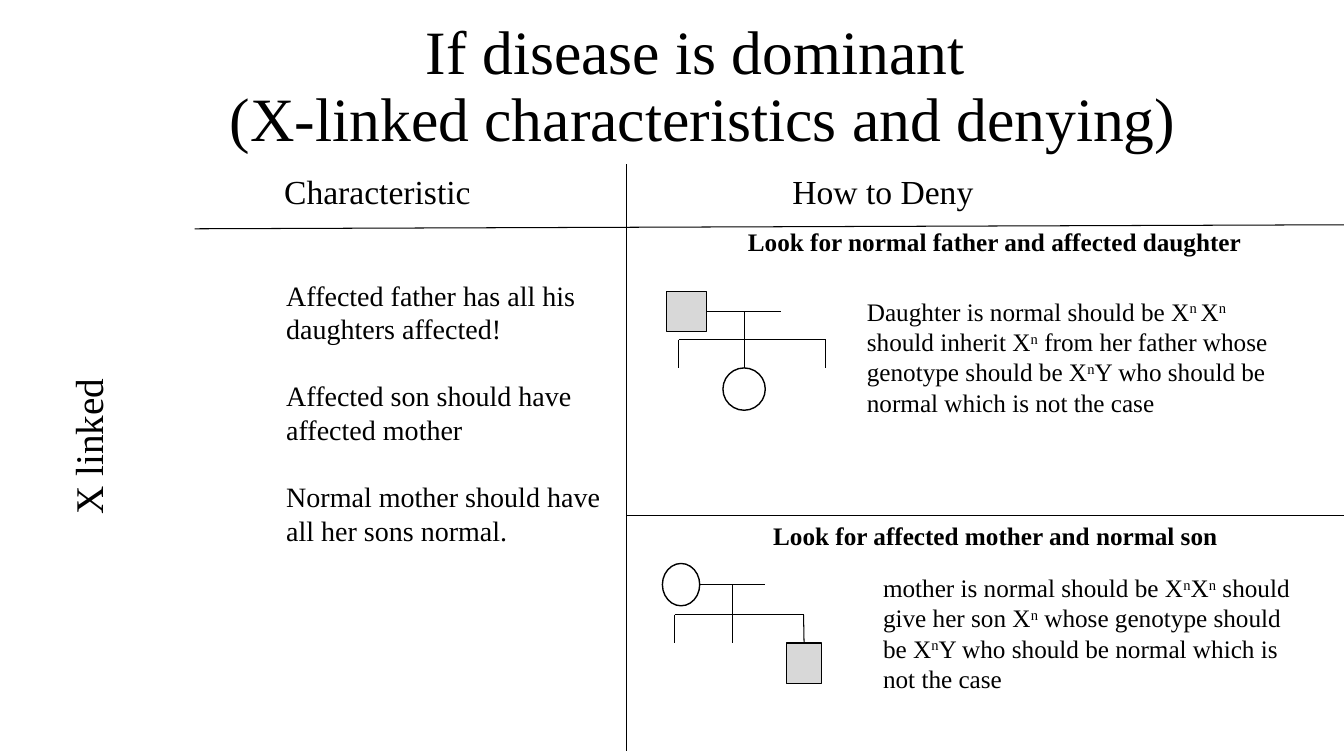
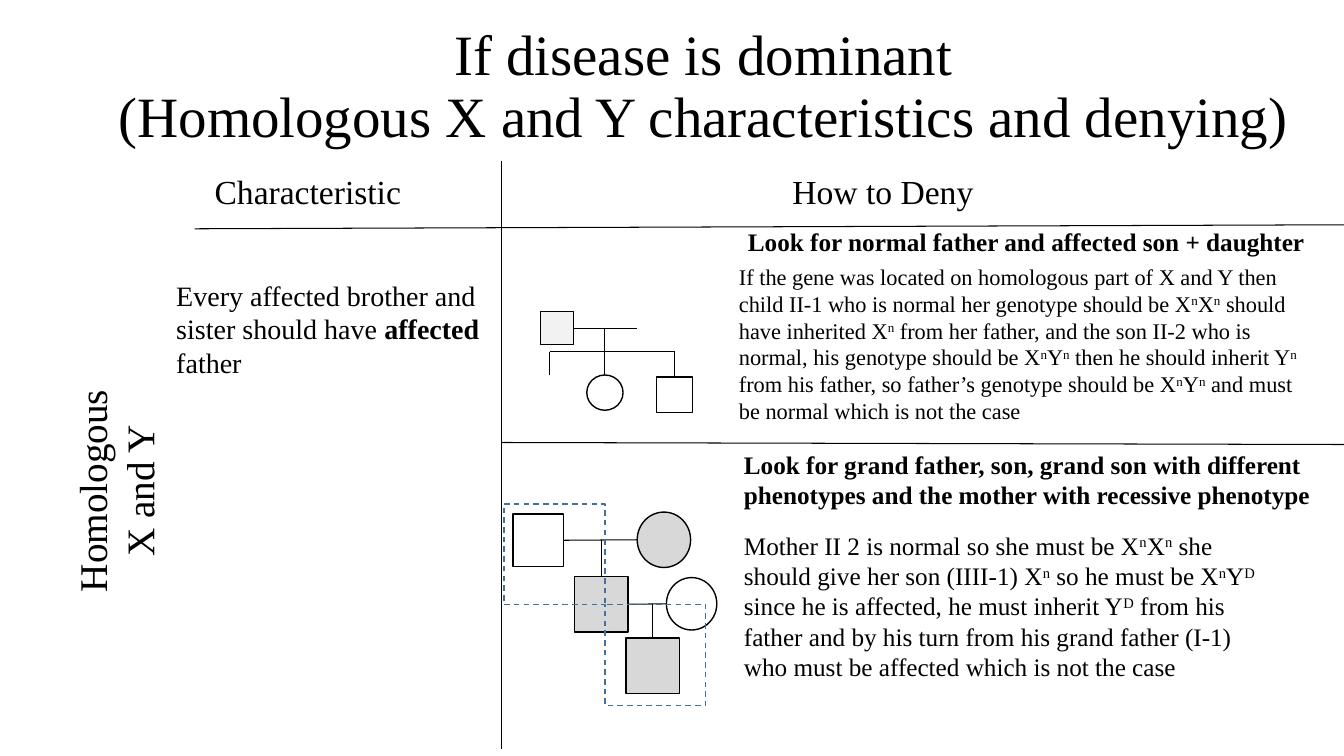
from lxml.etree import SubElement
from pptx import Presentation
from pptx.dml.color import RGBColor
from pptx.enum.dml import MSO_LINE
from pptx.enum.shapes import MSO_CONNECTOR, MSO_SHAPE
from pptx.enum.text import MSO_ANCHOR, PP_ALIGN
from pptx.oxml.ns import qn
from pptx.util import Inches, Pt

BLACK = RGBColor(0, 0, 0)
WHITE = RGBColor(255, 255, 255)
AFFECTED = RGBColor(0xD8, 0xD8, 0xD8)
PALE = RGBColor(0xF2, 0xF2, 0xF2)
OUTLINE = RGBColor(0x42, 0x71, 0x9B)
FONT = "Times New Roman"
W, H = 13.33, 7.5
MALE, FEMALE = MSO_SHAPE.RECTANGLE, MSO_SHAPE.OVAL
TOP, LEFT, RIGHT = 0, 1, 3

TITLE = dict(size=44, align=PP_ALIGN.CENTER, spacing=0.9, anchor=MSO_ANCHOR.MIDDLE)
SIDE = dict(size=28, rotation=270)
HEAD = dict(size=24)
POINT = dict(size=20, before=24)
LOOK = dict(size=18, bold=True)
PROOF = dict(size=18)

# ^…^ is superscript, *…* is bold
SLIDES = [
    dict(
        divider=(6.21, 1.63, 7.45),
        split=(5.11, 5.11),
        texts=[
            ((0.62, 0.15, 12.71, 1.45),
             ["If disease is dominant \n(X-linked characteristics and denying)"], TITLE),
            ((-0.05, 4, 1.84, 0.57), ["X linked"], SIDE),
            ((2.72, 1.65, 2.7, 0.5), ["Characteristic"], HEAD),
            ((2.74, 2.71, 3.47, 2.79),
             ["Affected father has all his daughters affected!",
              "Affected son should have affected mother",
              "Normal mother should have all her sons normal."], POINT),
            ((7.32, 2.2, 5.1, 0.4), ["Look for normal father and affected daughter"], LOOK),
            ((8.5, 2.89, 4.47, 1.31),
             ["Daughter is normal should be X^n ^X^n^ should inherit X^n^ from her father "
              "whose genotype should be X^n^Y who should be normal which is not the case"], PROOF),
            ((7.57, 5.11, 4.84, 0.4), ["Look for affected mother and normal son"], LOOK),
            ((8.66, 5.63, 4.32, 1.31),
             ["mother is normal should be X^n^X^n^ should give her son X^n^ whose genotype "
              "should be X^n^Y who should be normal which is not the case"], PROOF),
        ],
        people=dict(
            father=(MALE, (6.61, 2.89, 0.4, 0.4), AFFECTED),
            daughter=(FEMALE, (7.17, 3.65, 0.42, 0.42), WHITE),
            mother=(FEMALE, (6.57, 5.59, 0.37, 0.42), WHITE),
            son=(MALE, (7.8, 6.38, 0.35, 0.4), AFFECTED),
        ),
        families=[
            dict(parent="father", mate_x=7.75, bar_y=3.37, drop_y=3.65,
                 children=[(6.73, None), (7.38, "daughter"), (8.19, None)]),
            dict(parent="mother", mate_x=7.59, bar_y=6.1, drop_y=6.38,
                 children=[(6.69, None), (7.27, None), (7.97, "son")]),
        ],
    ),
    dict(
        divider=(4.97, 1.6, 7.43),
        split=(4.39, 4.41),
        texts=[
            ((0.62, 0.15, 12.71, 1.45),
             ["If disease is dominant\n(Homologous X and Y characteristics and denying)"],
             TITLE | dict(size=40.7)),
            ((0, 4.35, 2.29, 1.04), ["Homologous X and Y"], SIDE | dict(align=PP_ALIGN.CENTER)),
            ((2.03, 1.65, 2.7, 0.5), ["Characteristic"], HEAD),
            ((1.65, 2.71, 3.47, 1.11),
             ["Every affected brother and sister should have *affected* father"], POINT),
            ((7.32, 2.2, 5.83, 0.4),
             ["Look for normal father and affected son + daughter"], LOOK),
            ((7.23, 2.56, 5.92, 1.72),
             ["If the gene was located on homologous part of X and Y then child II-1 who is "
              "normal her genotype should be X^n^X^n^ should have inherited X^n^ from her "
              "father, and the son II-2 who is normal, his genotype should be X^n^Y^n^ then "
              "he should inherit Y^n^ from his father, so father’s genotype should be "
              "X^n^Y^n^ and must be normal which is not the case"], PROOF | dict(size=16)),
            ((7.28, 4.41, 6.14, 0.71),
             ["Look for grand father, son, grand son with different phenotypes and the "
              "mother with recessive phenotype"], LOOK),
            ((7.28, 5.21, 5.38, 1.62),
             ["Mother II 2 is normal so she must be X^n^X^n^ she should give her son (IIII-1) "
              "X^n^ so he must be X^n^Y^D ^since he is affected, he must inherit Y^D^ from "
              "his father and by his turn from his grand father (I-1) who must be affected "
              "which is not the case"], PROOF),
        ],
        people=dict(
            father=(MALE, (5.36, 3.09, 0.33, 0.33), PALE),
            daughter=(FEMALE, (5.82, 3.72, 0.36, 0.35), WHITE),
            brother=(MALE, (6.51, 3.74, 0.36, 0.35), WHITE),
            grandmother=(FEMALE, (6.32, 5.08, 0.53, 0.55), AFFECTED),
            grandfather=(MALE, (5.09, 5.1, 0.5, 0.52), WHITE),
            son=(MALE, (5.7, 5.72, 0.53, 0.55), AFFECTED),
            wife=(FEMALE, (6.61, 5.73, 0.5, 0.52), WHITE),
            grandson=(MALE, (6.21, 6.33, 0.53, 0.55), AFFECTED),
        ),
        families=[
            dict(parent="father", mate_x=6.32, bar_y=3.49, drop_y=3.72,
                 children=[(5.45, None), (6, "daughter"), (6.69, "brother")]),
        ],
        couples=[("grandfather", "grandmother", "son"), ("son", "wife", "grandson")],
        lineage=[
            (4.99, 4.91), (5.28, 4.89), (5.58, 4.91), (5.71, 4.97), (5.8, 5.05), (5.87, 5.14),
            (5.96, 5.27), (6.04, 5.4), (6.11, 5.54), (6.17, 5.61), (6.32, 5.67), (7.16, 5.69),
            (7.16, 5.69), (7.14, 6.55), (7.08, 6.79), (6.98, 6.93), (6.78, 7.06), (6.49, 7.15),
            (6.13, 7.12), (5.95, 7.06), (5.81, 6.93), (5.72, 6.78), (5.67, 6.6), (5.61, 6.46),
            (5.55, 6.21), (5.49, 6.08), (5.43, 5.94), (5.34, 5.81), (5.25, 5.75), (5.07, 5.69),
            (4.93, 5.6), (4.86, 5.46), (4.83, 5.33), (4.87, 5.15), (4.98, 5),
        ],
    ),
]


def add_text(s, box, paragraphs, style):
    sp = s.shapes.add_textbox(*map(Inches, box))
    sp.rotation = style.get("rotation", 0)
    tf = sp.text_frame
    for name, value in dict(word_wrap=True,
                            vertical_anchor=style.get("anchor", MSO_ANCHOR.TOP)).items():
        setattr(tf, name, value)
    for n, text in enumerate(paragraphs):
        p = tf.add_paragraph() if n else tf.paragraphs[0]
        p.alignment = style.get("align", PP_ALIGN.LEFT)
        p.line_spacing = style.get("spacing")
        if n:
            p.space_before = Pt(style["before"])
        for k, line in enumerate(text.split("\n")):
            if k:
                p.add_line_break()
            add_runs(p, line, style)


def add_runs(p, line, style):
    for i, part in enumerate(line.split("^")):
        for j, piece in enumerate(part.split("*")):
            if not piece:
                continue
            r = p.add_run()
            r.text = piece
            fmt = dict(name=FONT, size=Pt(style["size"]), bold=style.get("bold", j % 2 == 1))
            for name, value in fmt.items():
                setattr(r.font, name, value)
            r.font.color.rgb = BLACK
            if i % 2:
                r._r.get_or_add_rPr().set("baseline", "30000")


def add_line(s, start, end, begin=None, finish=None):
    cx = s.shapes.add_connector(MSO_CONNECTOR.STRAIGHT, *map(Inches, (*start, *end)))
    cx.line.color.rgb, cx.line.width = BLACK, Pt(0.75)
    SubElement(cx._element.spPr, qn("a:effectLst"))
    if begin:
        cx.begin_connect(*begin)
    if finish:
        cx.end_connect(*finish)


def add_person(s, kind, box, fill):
    sp = s.shapes.add_shape(kind, *map(Inches, box))
    sp.shadow.inherit = False
    sp.fill.solid()
    sp.fill.fore_color.rgb = fill
    sp.line.color.rgb, sp.line.width = BLACK, Pt(1)
    return sp


def side(people, name, site):
    x, y, w, h = people[name][1]
    return {TOP: (x + w / 2, y), LEFT: (x, y + h / 2), RIGHT: (x + w, y + h / 2)}[site]


def joint(people, shapes, name, site):
    if name and (people[name][0] == MALE or site == TOP):
        return shapes[name], site


def add_family(s, people, shapes, parent, mate_x, bar_y, drop_y, children):
    start = side(people, parent, RIGHT)
    xs = [x for x, _ in children]
    add_line(s, start, (mate_x, start[1]), joint(people, shapes, parent, RIGHT))
    add_line(s, (xs[1], start[1]), (xs[1], bar_y))
    add_line(s, (xs[0], bar_y), (xs[-1], bar_y))
    for x, child in children:
        add_line(s, (x, bar_y), (x, drop_y), None, joint(people, shapes, child, TOP))


def add_couple(s, people, shapes, husband, wife, child):
    start, end = side(people, husband, RIGHT), side(people, wife, LEFT)
    add_line(s, start, end, joint(people, shapes, husband, RIGHT))
    top = side(people, child, TOP)
    add_line(s, (top[0], start[1]), top, None, joint(people, shapes, child, TOP))


def smooth(points, steps=5):
    n = len(points)
    for i in range(n):
        a, b, c, d = (points[(i + k) % n] for k in (-1, 0, 1, 2))
        if b == c:
            continue
        for t in (k / steps for k in range(steps)):
            yield tuple(
                0.5 * (2 * q + (r - p) * t + (2 * p - 5 * q + 4 * r - v) * t ** 2
                       + (3 * q - p - 3 * r + v) * t ** 3)
                for p, q, r, v in zip(a, b, c, d))


def add_lineage(s, points):
    first, *rest = smooth(points)
    builder = s.shapes.build_freeform(*first, scale=Inches(1))
    builder.add_line_segments(rest, close=True)
    sp = builder.convert_to_shape()
    sp.shadow.inherit = False
    sp.fill.background()
    sp.line.color.rgb, sp.line.width = OUTLINE, Pt(1)
    sp.line.dash_style = MSO_LINE.DASH


def build_slide(prs, data):
    s = prs.slides.add_slide(prs.slide_layouts[6])
    for box, paragraphs, style in data["texts"]:
        add_text(s, box, paragraphs, style)
    add_text(s, (7.76, 1.65, 2.94, 0.5), ["How to Deny"], HEAD)
    x, top, bottom = data["divider"]
    left_y, right_y = data["split"]
    add_line(s, (1.93, 2.27), (W, 2.23))
    add_line(s, (x, top), (x, bottom))
    add_line(s, (x, left_y), (W, right_y))
    people = data["people"]
    shapes = {name: add_person(s, *person) for name, person in people.items()}
    for family in data["families"]:
        add_family(s, people, shapes, **family)
    for couple in data.get("couples", []):
        add_couple(s, people, shapes, *couple)
    if "lineage" in data:
        add_lineage(s, data["lineage"])


def main():
    prs = Presentation()
    prs.slide_width, prs.slide_height = Inches(W), Inches(H)
    for data in SLIDES:
        build_slide(prs, data)
    prs.save("out.pptx")


if __name__ == "__main__":
    main()
